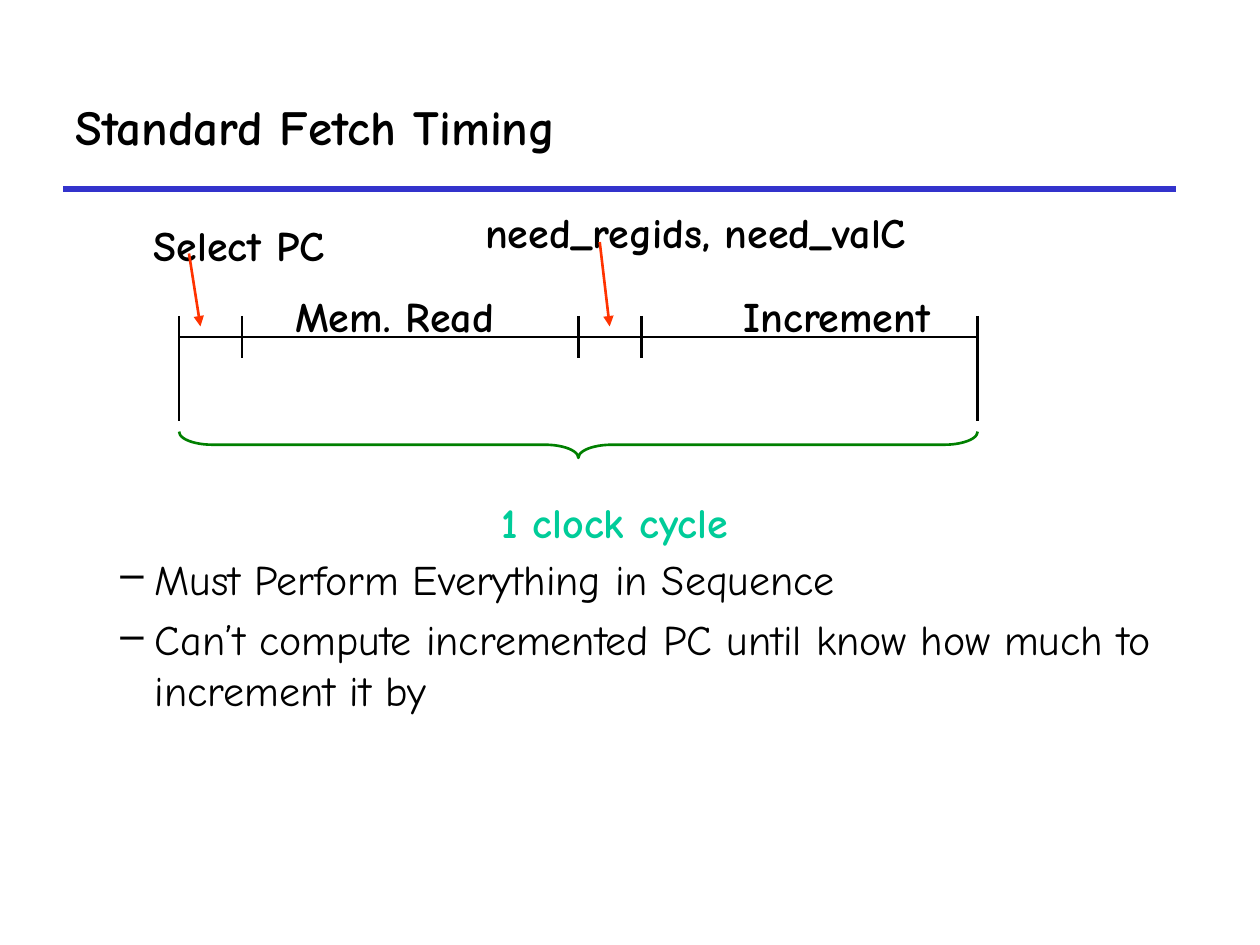
import pptx
import pptx.dml.color
import pptx.enum.shapes
import pptx.enum.text
import pptx.util
import lxml.etree
import pptx.oxml.ns

Cm = pptx.util.Cm
Pt = pptx.util.Pt
qn = pptx.oxml.ns.qn
HUES = {"ink": "000000", "rule": "3333CC", "arrow": "FF3300",
        "brace": "008000", "clock": "00CC99"}


def tint(name):
    return pptx.dml.color.RGBColor.from_string(HUES[name])


class Deck:
    """Holds the font, the line width and the slide being drawn."""

    def __init__(self):
        self.font = "Comic Neue"
        self.width = 1.5
        self.show = pptx.Presentation()
        self.show.slide_width, self.show.slide_height = Cm(25.4), Cm(19.05)
        self.slide = self.show.slides.add_slide(self.show.slide_layouts[6])

    def line(self, x1, y1, x2, y2, hue="ink", width=None, head=False):
        line = self.slide.shapes.add_connector(
            pptx.enum.shapes.MSO_CONNECTOR.STRAIGHT,
            Cm(x1), Cm(y1), Cm(x2), Cm(y2))
        line.line.color.rgb = tint(hue)
        line.line.width = Pt(width or self.width)
        if head:
            tail = lxml.etree.SubElement(line.line._get_or_add_ln(), qn("a:tailEnd"))
            tail.set("type", "triangle")
        lxml.etree.SubElement(line._element.spPr, qn("a:effectLst"))

    def brace(self, left, right, top, depth):
        """Draw a brace that spans left to right and points down."""
        span = right - left
        shape = self.slide.shapes.add_shape(
            pptx.enum.shapes.MSO_SHAPE.LEFT_BRACE,
            Cm((left + right - depth) / 2), Cm(top + (depth - span) / 2),
            Cm(depth), Cm(span))
        shape.rotation = 270
        shape.adjustments[0] = 1.27
        shape.shadow.inherit = False
        shape.fill.background()
        shape.line.color.rgb = tint("brace")
        shape.line.width = Pt(self.width)

    def text(self, text, x, y, w, h, size=24, hue="ink", bold=True,
             wrap=False, inset=0.13, middle=False, dash=False):
        """Add a text box with one paragraph for each line of text."""
        box = self.slide.shapes.add_textbox(Cm(x), Cm(y), Cm(w), Cm(h))
        frame = box.text_frame
        frame.word_wrap = wrap
        frame.margin_left = frame.margin_right = Cm(inset)
        frame.margin_top = frame.margin_bottom = Cm(0.13)
        if not wrap:
            frame.auto_size = pptx.enum.text.MSO_AUTO_SIZE.SHAPE_TO_FIT_TEXT
        if middle:
            frame.vertical_anchor = pptx.enum.text.MSO_ANCHOR.MIDDLE
        for i, words in enumerate(text.split("\n")):
            para = frame.add_paragraph() if i else frame.paragraphs[0]
            if i:
                para.space_before = Pt(6)
            if dash:
                self.dash(para)
            run = para.add_run()
            run.text = words
            run.font.name = self.font
            run.font.size = Pt(size)
            run.font.bold = bold
            run.font.color.rgb = tint(hue)

    def dash(self, para):
        """Make the paragraph a second-level item with a dash."""
        para.level = 1
        props = para._p.get_or_add_pPr()
        props.set("marL", str(Cm(2.06)))
        props.set("indent", str(Cm(-0.69)))
        shade = lxml.etree.SubElement(props, qn("a:buClr"))
        lxml.etree.SubElement(shade, qn("a:srgbClr")).set("val", HUES["ink"])
        lxml.etree.SubElement(props, qn("a:buChar")).set("char", "–")


def main():
    deck = Deck()
    deck.line(1.27, 3.81, 23.7, 3.81, "rule", 3)
    deck.text("Standard Fetch Timing", 1.27, 1.27, 22.43, 2.54, size=28,
              wrap=True, inset=0.25, middle=True)
    deck.text("Must Perform Everything in Sequence\n"
              "Can’t compute incremented PC until know how much to increment it by",
              0.81, 11.02, 23.09, 6.88, bold=False, wrap=True, inset=0.25, dash=True)

    # Two rounds of a short step and a long step share one axis.
    start, short, long = 3.61, 1.27, 6.78
    ticks = [start]
    for step in (short, long) * 2:
        ticks.append(ticks[-1] + step)
    top, axis, low, deep = 6.37, 6.79, 7.21, 8.48
    for left, right in zip(ticks, ticks[1:]):
        deck.line(left, axis, right, axis)
    for x in ticks:
        deck.line(x, top, x, deep if x in (ticks[0], ticks[-1]) else low)
    deck.brace(ticks[0], ticks[-1], 8.7, 0.53)

    for label, x, y, w, hue in (
            ("Select PC", 2.97, 4.29, 3.71, "ink"),
            ("need_regids, need_valC", 9.65, 4.04, 8.79, "ink"),
            ("Mem. Read", 5.82, 5.72, 4.27, "ink"),
            ("Increment", 14.86, 5.72, 4.04, "ink"),
            ("1 clock cycle", 9.98, 9.88, 4.83, "clock")):
        deck.text(label, x, y, w, 1.27, hue=hue)
    for x1, y1, x2 in ((3.81, 5.11, 4.04), (12.09, 4.88, 12.29)):
        deck.line(x1, y1, x2, 6.58, "arrow", head=True)

    deck.show.save("out.pptx")


if __name__ == "__main__":
    main()
